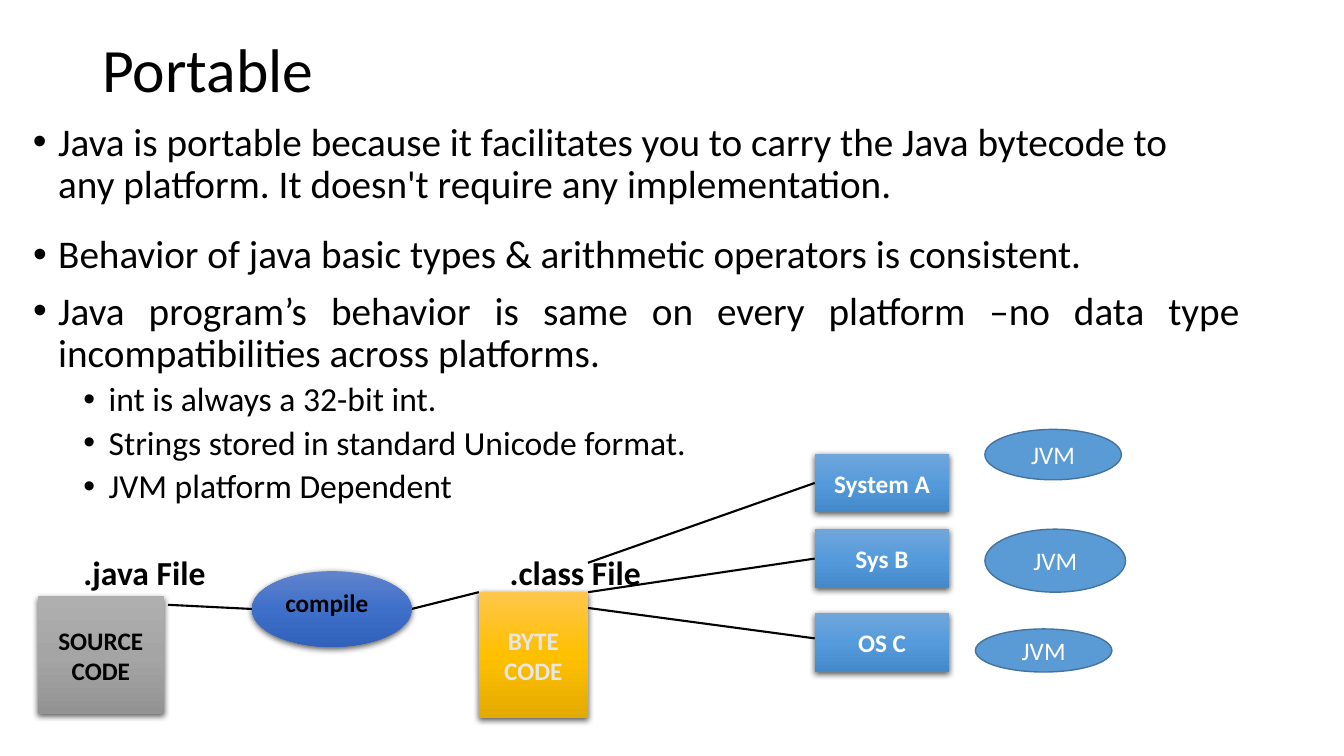
from copy import deepcopy

from lxml import etree
from pptx import Presentation
from pptx.dml.color import RGBColor
from pptx.enum.shapes import MSO_CONNECTOR, MSO_SHAPE
from pptx.enum.text import MSO_ANCHOR, PP_ALIGN
from pptx.oxml.ns import qn
from pptx.util import Pt

PX = 9525
FONT = "Calibri"
RECT, OVAL = MSO_SHAPE.RECTANGLE, MSO_SHAPE.OVAL
TOP, MIDDLE = MSO_ANCHOR.TOP, MSO_ANCHOR.MIDDLE
LEFT, CENTER, JUSTIFY = PP_ALIGN.LEFT, PP_ALIGN.CENTER, PP_ALIGN.JUSTIFY
STRAIGHT = MSO_CONNECTOR.STRAIGHT

COLORS = {
    "black": "000000", "white": "FFFFFF", "pale": "E7E6E6",
    "jvm": "5B9BD5", "jvm_edge": "43739E",
}
GRADIENTS = {
    "compile": ("6183CB", "3E70CA", "3062BB"),
    "platform": ("71A6DB", "559BDB", "448ACA"),
    "bytecode": ("FFC64B", "FFC000", "E3AB00"),
    "source": ("AFAFAF", "A5A5A5", "939393"),
}

POINT = dict(size=28, before=10, indent=24, bullet=True)
DETAIL = dict(size=24, before=5, indent=72, bullet=True, align=JUSTIFY)
FILE_LABEL = dict(size=24, bold=True)

TEXTS = [
    ((88, 0, 1104, 139), MIDDLE, [("Portable", dict(size=44))]),
    ((22, 112, 1104, 457), TOP, [
        ("Java is portable because it facilitates you to carry the Java bytecode to "
         "any platform. It doesn't require any implementation.", POINT),
    ]),
    ((22, 219, 1168, 475), TOP, [
        ("Behavior of java basic types & arithmetic operators is consistent.",
         dict(POINT, align=JUSTIFY)),
        ("Java program’s behavior is same on every platform –no data type "
         "incompatibilities across platforms.", dict(POINT, align=JUSTIFY)),
        ("int is always a 32-bit int.", DETAIL),
        ("Strings stored in standard Unicode format.", DETAIL),
        ("JVM platform Dependent", DETAIL),
    ]),
    ((70, 525, 160, 40), TOP, [(".java File", FILE_LABEL)]),
    ((476, 525, 160, 40), TOP, [(".class File", FILE_LABEL)]),
]

LINKS = [
    (160, 576, 240, 580),
    (392, 580, 456, 564),
    (560, 536, 776, 460),
    (560, 564, 776, 532),
    (560, 579, 776, 608),
]
PLATFORMS = [("System A", 432), ("Sys B", 504), ("OS C", 584)]
STAGES = [
    (OVAL, (240, 544, 152, 72), "compile", ["compile"], "black", TOP, LEFT),
    *[(RECT, (776, top, 128, 56), "platform", [name], "white", MIDDLE, CENTER)
      for name, top in PLATFORMS],
    (RECT, (456, 564, 104, 120), "bytecode", ["BYTE CODE"], "pale", MIDDLE, CENTER),
    (RECT, (36, 568, 120, 112), "source", ["SOURCE", "CODE"], "black", MIDDLE, CENTER),
]
JVMS = [(938, 409, 130, 48), (938, 504, 134, 60), (929, 599, 130, 41)]


def rgb(name):
    return RGBColor.from_string(COLORS[name])


def emu(box):
    return [value * PX for value in box]


def write(frame, text, size=18, color="black", bold=False, align=LEFT, spacing=1.0,
          before=0, indent=0, bullet=False):
    first = frame.paragraphs[0]
    paragraph = frame.add_paragraph() if first.runs else first
    paragraph.alignment = align
    paragraph.line_spacing = spacing
    paragraph.space_before = Pt(before)
    if bullet:
        props = paragraph._p.get_or_add_pPr()
        props.set("marL", str(indent * PX))
        props.set("indent", str(-24 * PX))
        etree.SubElement(props, qn("a:buFont"), typeface="Arial")
        etree.SubElement(props, qn("a:buChar"), char="•")
    run = paragraph.add_run()
    run.text = text
    run.font.name = FONT
    run.font.size = Pt(size)
    run.font.bold = bold
    run.font.color.rgb = rgb(color)


def add_outline(slide, kind, box, anchor):
    shape = slide.shapes.add_shape(kind, *emu(box))
    shape.shadow.inherit = False
    shape.text_frame.word_wrap = True
    shape.text_frame.vertical_anchor = anchor
    return shape


def shade(shape, colors):
    shape.fill.gradient()
    stops = shape.element.spPr.find(qn("a:gradFill")).find(qn("a:gsLst"))
    stops.insert(1, deepcopy(stops[0]))
    shape.fill.gradient_angle = 270
    for index, (stop, color) in enumerate(zip(shape.fill.gradient_stops, colors)):
        stop.position = index / 2
        stop.color.rgb = RGBColor.from_string(color)
    shape.line.fill.background()
    effects = shape.element.spPr.find(qn("a:effectLst"))
    shadow = etree.SubElement(effects, qn("a:outerShdw"), blurRad=str(Pt(4.5)),
                              dist=str(Pt(1.5)), dir="5400000", algn="ctr", rotWithShape="0")
    tone = etree.SubElement(shadow, qn("a:srgbClr"), val=COLORS["black"])
    etree.SubElement(tone, qn("a:alpha"), val="63000")


def main():
    deck = Presentation()
    deck.slide_width, deck.slide_height = emu((1280, 720))
    slide = deck.slides.add_slide(deck.slide_layouts[6])

    for box, anchor, paragraphs in TEXTS:
        frame = slide.shapes.add_textbox(*emu(box)).text_frame
        frame.word_wrap = True
        frame.vertical_anchor = anchor
        for text, style in paragraphs:
            write(frame, text, spacing=0.9, **style)

    for ends in LINKS:
        link = slide.shapes.add_connector(STRAIGHT, *emu(ends))
        link.line.color.rgb = rgb("black")
        link.line.width = Pt(1.5)
        etree.SubElement(link.element.spPr, qn("a:effectLst"))

    for kind, box, gradient, lines, color, anchor, align in STAGES:
        stage = add_outline(slide, kind, box, anchor)
        shade(stage, GRADIENTS[gradient])
        for line in lines:
            write(stage.text_frame, line, color=color, bold=True, align=align)

    for box in JVMS:
        jvm = add_outline(slide, OVAL, box, MIDDLE)
        jvm.fill.solid()
        jvm.fill.fore_color.rgb = rgb("jvm")
        jvm.line.color.rgb = rgb("jvm_edge")
        jvm.line.width = Pt(1)
        write(jvm.text_frame, "JVM", color="white", align=CENTER)

    deck.save("out.pptx")


if __name__ == "__main__":
    main()
